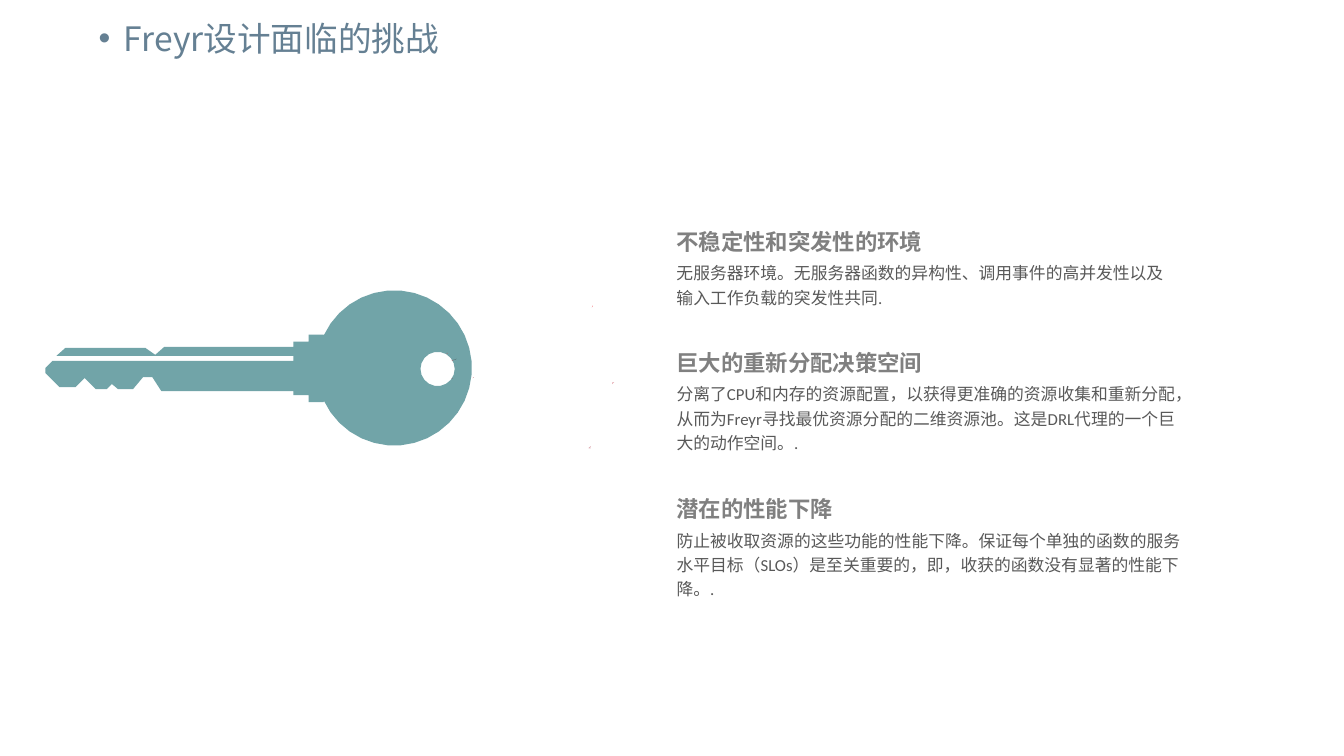
from dataclasses import dataclass
from math import cos, radians, sin

from lxml import etree
from pptx import Presentation
from pptx.dml.color import RGBColor
from pptx.enum.text import MSO_AUTO_SIZE
from pptx.oxml.ns import qn
from pptx.util import Pt

PX = 9144
FIT = MSO_AUTO_SIZE.SHAPE_TO_FIT_TEXT


@dataclass(frozen=True)
class Theme:
    title: str = "658093"
    head: str = "808080"
    body: str = "595959"
    key: str = "71A4A8"
    red: str = "EC1C24"
    rust: str = "BD1E2D"
    wine: str = "A01227"
    dark: str = "414042"
    latin: str = "Calibri"
    asian: str = "Noto Sans CJK JP"
    title_size: int = 24
    head_size: int = 16
    body_size: int = 12


THEME = Theme()

# Shaft and teeth, from the upper collar round to the lower one
SHAFT = [
    (276, 44), (261, 44), (261, 51), (246, 51), (246, 56), (118, 56),
    (109, 64), (99, 57), (20, 57), (11, 65), (246, 65), (246, 70),
    (7, 70), (0, 77), (0, 82), (14, 96), (30, 96), (39, 87),
    (50, 98), (61, 98), (66, 93), (72, 98), (87, 98), (97, 86),
    (106, 86), (115, 100), (246, 100), (246, 104), (261, 104),
    (261, 111), (276, 111),
]

# Left, top, width, height, colour
SPECKS = [
    (587, 303, 1, 2, THEME.red),
    (607, 380, 1, 1, THEME.rust),
    (607, 379, 2, 1, THEME.rust),
    (584, 444, 1, 1, THEME.wine),
    (584, 443, 2, 1, THEME.wine),
    (469, 374, 1, 1, THEME.wine),
    (443, 350, 1, 1, THEME.red),
    (448, 357, 2, 1, THEME.rust),
    (448, 375, 1, 1, THEME.wine),
    (450, 356, 3, 1, THEME.dark),
    (585, 444, 1, 1, THEME.wine),
]

# Top, width, height, heading, text
ISSUES = [
    (221, 493, 85, "不稳定性和突发性的环境",
     "无服务器环境。无服务器函数的异构性、调用事件的高并发性以及"
     "输入工作负载的突发性共同."),
    (341, 505, 109, "巨大的重新分配决策空间",
     "分离了CPU和内存的资源配置，以获得更准确的资源收集和重新分配，"
     "从而为Freyr寻找最优资源分配的二维资源池。这是DRL代理的一个"
     "巨大的动作空间。."),
    (486, 505, 109, "潜在的性能下降",
     "防止被收取资源的这些功能的性能下降。保证每个单独的函数的服务"
     "水平目标（SLOs）是至关重要的，即，收获的函数没有显著的性能下降。."),
]


def arc(x, y, radius, angles):
    return [(x + radius * cos(radians(a)), y + radius * sin(radians(a)))
            for a in angles]


def draw(slide, left, top, loops, color):
    """Fill closed loops of points given in px from left and top."""
    loops = [[((left + x) * PX, (top + y) * PX) for x, y in loop]
             for loop in loops]
    pen = slide.shapes.build_freeform(*loops[0][0])
    pen.add_line_segments(loops[0][1:])
    for loop in loops[1:]:
        pen.move_to(*loop[0])
        pen.add_line_segments(loop[1:])
    shape = pen.convert_to_shape()
    shape.shadow.inherit = False
    shape.fill.solid()
    shape.fill.fore_color.rgb = RGBColor.from_string(color)
    shape.line.fill.background()


def add_key(slide, left, top):
    bow = arc(346, 77, 77, range(205, 516, 10))
    hole = arc(389, 78, 17, range(340, -1, -20))
    draw(slide, left, top, [bow + SHAFT[::-1], hole], THEME.key)


def add_specks(slide):
    """Thin slivers, each along the diagonal of its box."""
    for x, y, width, height, color in SPECKS:
        sliver = [(0, height), (width, 0), (width * 0.6, height * 0.6)]
        draw(slide, x, y, [sliver], color)


def add_box(slide, left, top, width, height):
    box = slide.shapes.add_textbox(left * PX, top * PX, width * PX, height * PX)
    frame = box.text_frame
    frame.word_wrap = True
    return frame


def style(para, size, color, latin, bold=False):
    for run in para.runs:
        font = run.font
        font.size = Pt(size)
        font.bold = bold
        font.name = latin
        font.color.rgb = RGBColor.from_string(color)
        props = run._r.get_or_add_rPr()
        etree.SubElement(props, qn("a:ea"), typeface=THEME.asian)


def add_title(slide, left, top, width, height):
    para = add_box(slide, left, top, width, height).paragraphs[0]
    para.text = "Freyr设计面临的挑战"
    para.line_spacing = 0.9
    props = para._p.get_or_add_pPr()
    props.set("marL", str(25 * PX))
    props.set("indent", str(-25 * PX))
    etree.SubElement(props, qn("a:buFont"), typeface="Arial")
    etree.SubElement(props, qn("a:buChar"), char="•")
    style(para, THEME.title_size, THEME.title, THEME.asian)


def add_issue(slide, left, top, width, height, head, body):
    frame = add_box(slide, left, top, width, height)
    frame.auto_size = FIT
    frame.margin_left = frame.margin_right = 0
    frame.margin_top = frame.margin_bottom = 0
    first = frame.paragraphs[0]
    first.text = head
    first.line_spacing = 1.2
    style(first, THEME.head_size, THEME.head, THEME.latin, True)
    second = frame.add_paragraph()
    second.text = body
    second.line_spacing = 1.2
    second.space_before = Pt(3)
    style(second, THEME.body_size, THEME.body, THEME.latin)


def main():
    deck = Presentation()
    deck.slide_width = 1333 * PX
    deck.slide_height = 750 * PX
    slide = deck.slides.add_slide(deck.slide_layouts[6])
    add_key(slide, 45, 288)
    add_specks(slide)
    for issue in ISSUES:
        add_issue(slide, 671, *issue)
    add_title(slide, 88, 17, 862, 47)
    deck.save("out.pptx")


if __name__ == "__main__":
    main()
